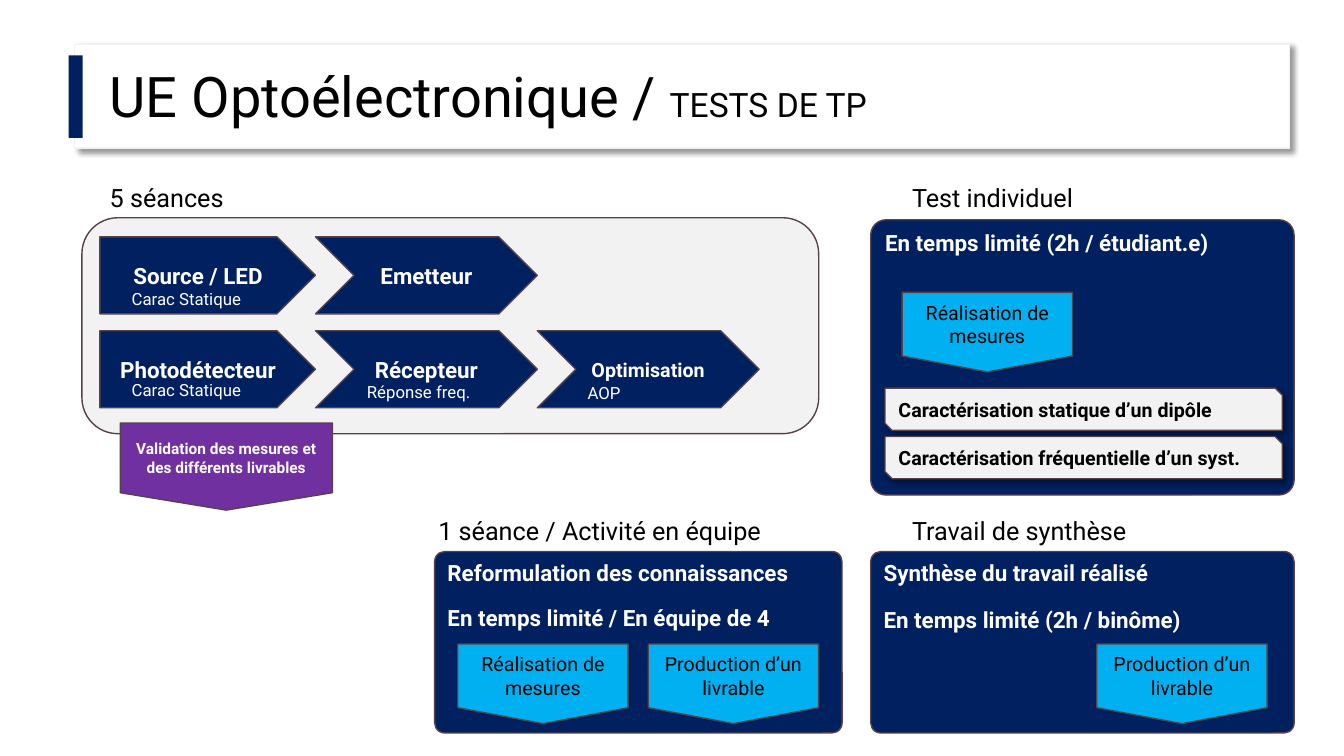
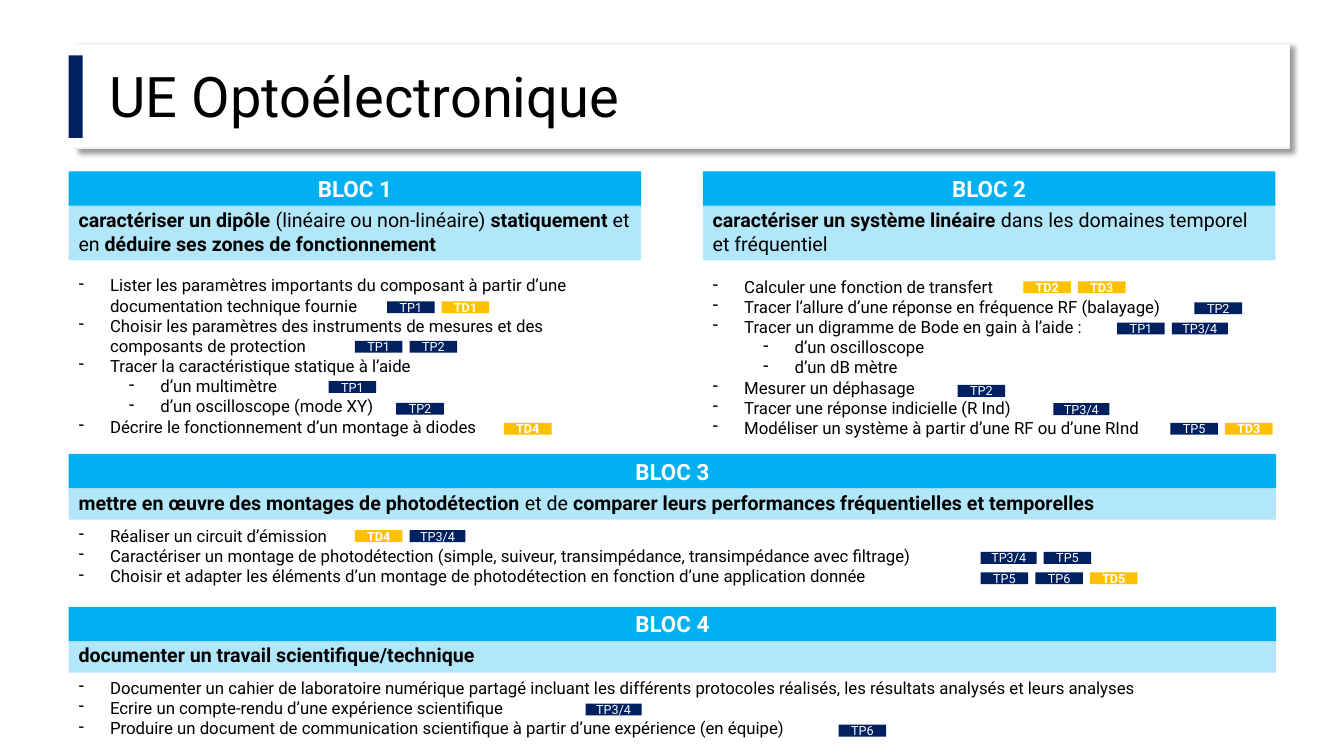
from dataclasses import dataclass

from lxml.etree import SubElement
from pptx import Presentation
from pptx.dml.color import RGBColor
from pptx.enum.shapes import MSO_SHAPE
from pptx.enum.text import MSO_ANCHOR, MSO_AUTO_SIZE, PP_ALIGN
from pptx.oxml.ns import qn
from pptx.util import Pt


@dataclass(frozen=True)
class Theme:
    """Colours, font and type sizes shared by the slides."""
    font: str = "Roboto"
    black: str = "000000"
    white: str = "FFFFFF"
    pale: str = "F2F2F2"
    navy: str = "002060"
    sky: str = "00B0F0"
    purple: str = "7030A0"
    gold: str = "FFC000"
    outline: str = "574249"
    title: int = 40
    subtitle: int = 24
    label: int = 18
    heading: int = 16
    text: int = 14
    small: int = 12
    note: int = 11
    chip: int = 9


T = Theme()
INDENT = 22.5
SUB_INDENT = 58.5
CHIP_GAP = 5
MARGIN = 49


def write(tf, text, size=T.text, color=T.black, bold=False, align=PP_ALIGN.LEFT,
          anchor=MSO_ANCHOR.TOP, wrap=True, inset=None, gap=0, spacing=None, bullets=False):
    """Fill a text frame; * toggles bold and a leading > marks a sub-item."""
    tf.word_wrap = wrap
    tf.auto_size = MSO_AUTO_SIZE.NONE if wrap else MSO_AUTO_SIZE.SHAPE_TO_FIT_TEXT
    tf.vertical_anchor = anchor
    if inset is not None:
        tf.margin_left = tf.margin_right = tf.margin_top = tf.margin_bottom = Pt(inset)
    for i, line in enumerate(text.split("\n")):
        p = tf.add_paragraph() if i else tf.paragraphs[0]
        p.alignment = align
        if i and gap:
            p.space_before = Pt(gap)
        if spacing:
            p.line_spacing = spacing
        if bullets:
            p.level = int(line.startswith(">"))
            pPr = p._p.get_or_add_pPr()
            pPr.set("marL", str(Pt(SUB_INDENT if p.level else INDENT)))
            pPr.set("indent", str(-Pt(INDENT)))
            SubElement(pPr, qn("a:buChar")).set("char", "-")
        for j, part in enumerate(line.lstrip(">").split("*")):
            if part:
                add_run(p, part, size, color, bold != bool(j % 2))


def add_run(p, text, size, color, bold=False):
    """Append one formatted run to a paragraph."""
    r = p.add_run()
    r.text = text
    r.font.name = T.font
    r.font.size = Pt(size)
    r.font.bold = bold
    r.font.color.rgb = RGBColor.from_string(color)


class Deck:
    """Holds the presentation and the slide being drawn."""

    def __init__(self):
        """Open an empty widescreen presentation."""
        self.prs = Presentation()
        self.prs.slide_width, self.prs.slide_height = Pt(960), Pt(540)
        self.s = None

    def slide(self, title, subtitle=""):
        """Start a slide with its title banner."""
        self.s = self.prs.slides.add_slide(self.prs.slide_layouts[6])
        self.shape(MSO_SHAPE.RECTANGLE, 53.3, 31.7, 867.6, 74.2, T.white, T.pale, shadow=True)
        tf = self.text(title, 71.3, 46, 706, 55.4, size=T.title, spacing=0.9)
        if subtitle:
            add_run(tf.paragraphs[0], subtitle, T.subtitle, T.black)
        self.shape(MSO_SHAPE.RECTANGLE, MARGIN, 39.6, 10, 59, T.navy)

    def shape(self, kind, x, y, w, h, fill, line=None, text="", shadow=False,
              alpha=None, adj=None, **fmt):
        """Draw a preset shape with optional text."""
        sp = self.s.shapes.add_shape(kind, Pt(x), Pt(y), Pt(w), Pt(h))
        sp.shadow.inherit = False
        if adj is not None:
            sp.adjustments[0] = adj
        sp.fill.solid()
        sp.fill.fore_color.rgb = RGBColor.from_string(fill)
        spPr = sp._element.spPr
        if alpha:
            clr = spPr.find(qn("a:solidFill")).find(qn("a:srgbClr"))
            SubElement(clr, qn("a:alpha")).set("val", str(alpha * 1000))
        if line:
            sp.line.color.rgb = RGBColor.from_string(line)
            sp.line.width = Pt(1)
        else:
            sp.line.fill.background()
        if shadow:
            sh = SubElement(spPr.find(qn("a:effectLst")), qn("a:outerShdw"), blurRad=str(Pt(4)),
                            dist=str(Pt(3)), dir="2700000", algn="tl", rotWithShape="0")
            clr = SubElement(sh, qn("a:srgbClr"), val=T.black)
            SubElement(clr, qn("a:alpha"), val="40000")
        if text:
            write(sp.text_frame, text, **fmt)

    def text(self, text, x, y, w, h, **fmt):
        """Add a text box and return its frame."""
        tf = self.s.shapes.add_textbox(Pt(x), Pt(y), Pt(w), Pt(h)).text_frame
        write(tf, text, **fmt)
        return tf

    def label(self, text, x, y, w):
        """Name a group of shapes."""
        self.text(text, x, y, w, 29, size=T.label, wrap=False)

    def step(self, kind, text, x, y, w, size=T.heading):
        """Draw one arrow of the session sequence."""
        self.shape(kind, x, y, w, 55, T.navy, T.outline, text, size=size, color=T.white,
                   bold=True, align=PP_ALIGN.CENTER, anchor=MSO_ANCHOR.MIDDLE)

    def panel(self, text, x, y, w, h, gap=0):
        """Draw a navy panel with bold lines."""
        self.shape(MSO_SHAPE.ROUNDED_RECTANGLE, x, y, w, h, T.navy, T.outline, text, adj=0.055,
                   size=T.heading, color=T.white, bold=True, gap=gap)

    def tag(self, text, x, y, w=121.7, h=56.9, fill=T.sky, **fmt):
        """Draw a downward-pointing tag."""
        self.shape(MSO_SHAPE.FLOWCHART_OFFPAGE_CONNECTOR, x, y, w, h, fill, T.outline, text,
                   align=PP_ALIGN.CENTER, anchor=MSO_ANCHOR.MIDDLE, **fmt)

    def block(self, name, summary, items, x, y, w, summary_h, items_y):
        """Draw a skills block: header, summary band and list."""
        self.text(items, x, items_y, w, 51 if summary_h < 30 else 124, size=T.small, bullets=True)
        self.shape(MSO_SHAPE.RECTANGLE, x, y + 22.5, w, summary_h, T.sky, text=summary, alpha=30)
        self.shape(MSO_SHAPE.RECTANGLE, x, y, w, 24.5, T.sky, text=name, size=T.heading,
                   color=T.white, bold=True, align=PP_ALIGN.CENTER, anchor=MSO_ANCHOR.MIDDLE)

    def chips(self, x, y, names):
        """Lay out a row of session chips from left to right."""
        for name in names.split():
            w = 40 if "/" in name else 34
            td = name.startswith("TD")
            self.shape(MSO_SHAPE.RECTANGLE, x, y, w, 8.5, T.gold if td else T.navy, text=name,
                       size=T.chip, color=T.white, bold=td, inset=0,
                       align=PP_ALIGN.CENTER, anchor=MSO_ANCHOR.MIDDLE)
            x += w + CHIP_GAP


def tests_slide(d):
    """Build the slide on lab tests."""
    d.slide("UE Optoélectronique / ", "TESTS DE TP")
    d.shape(MSO_SHAPE.ROUNDED_RECTANGLE, 58.5, 155.5, 526.3, 154.3, T.pale, T.outline)
    for y, first, others in ((169.2, "Source / LED", ["Emetteur"]),
                             (236.3, "Photodétecteur", ["Récepteur", "Optimisation"])):
        d.step(MSO_SHAPE.PENTAGON, first, 71.3, y, 154)
        for i, name in enumerate(others):
            d.step(MSO_SHAPE.CHEVRON, name, 225.4 + i * 158.4, y, 158.4, T.text if i else T.heading)
    for text, x, y, w in (("Carac Statique", 87, 203, 94.3), ("Carac Statique", 87, 268, 94.3),
                          ("Réponse freq.", 255, 268.8, 92), ("AOP", 412.6, 270, 40.3)):
        d.text(text, x, y, w, 21.8, size=T.small, color=T.white, wrap=False)
    d.tag("Validation des mesures et des différents livrables", 85.9, 302.2, 151.5, 62.2,
          T.purple, size=T.note, color=T.white, bold=True)

    d.panel("En temps limité (2h / étudiant.e)", 622, 157, 302.4, 196.6)
    d.panel("Reformulation des connaissances\nEn temps limité / En équipe de 4",
            310.5, 394, 291, 129.6, gap=13)
    d.panel("Synthèse du travail réalisé\nEn temps limité (2h / binôme)",
            622, 394, 302.4, 129.6, gap=14)

    for text, x, y, w in (("5 séances", 71.3, 126.7, 95.8), ("Test individuel", 644.4, 126.7, 134),
                          ("1 séance / Activité en équipe", 306, 364.5, 253.4),
                          ("Travail de synthèse", 644.4, 364.5, 170.6)):
        d.label(text, x, y, w)

    measure, deliver = "Réalisation de mesures", "Production d’un livrable"
    for text, x, y in ((measure, 644.4, 208.8), (measure, 327, 460),
                       (deliver, 463, 460), (deliver, 783.4, 460)):
        d.tag(text, x, y)
    for y, text in ((277.2, "Caractérisation statique d’un dipôle"),
                    (311.8, "Caractérisation fréquentielle d’un syst.")):
        d.shape(MSO_SHAPE.SNIP_2_DIAG_RECTANGLE, 632.2, y, 283.7, 30.2, T.pale, T.outline, text,
                shadow=True, bold=True, anchor=MSO_ANCHOR.MIDDLE)


def skills_slide(d):
    """Build the slide on skills blocks."""
    d.slide("UE Optoélectronique")
    half, full, right = 409, 862.5, 502
    d.block("BLOC 1", "*caractériser un dipôle *(linéaire ou non-linéaire) *statiquement* et en "
            "*déduire ses zones de fonctionnement*",
            "Lister les paramètres importants du composant à partir d’une documentation technique "
            "fournie\n"
            "Choisir les paramètres des instruments de mesures et des composants de protection\n"
            "Tracer la caractéristique statique à l’aide\n"
            ">d’un multimètre\n"
            ">d’un oscilloscope (mode XY)\n"
            "Décrire le fonctionnement d’un montage à diodes",
            MARGIN, 122.5, half, 41, 193)
    d.block("BLOC 2", "*caractériser un système linéaire *dans les domaines temporel et fréquentiel",
            "Calculer une fonction de transfert\n"
            "Tracer l’allure d’une réponse en fréquence RF (balayage)\n"
            "Tracer un digramme de Bode en gain à l’aide :\n"
            ">d’un oscilloscope\n"
            ">d’un dB mètre\n"
            "Mesurer un déphasage\n"
            "Tracer une réponse indicielle (R Ind)\n"
            "Modéliser un système à partir d’une RF ou d’une RInd",
            right, 122.5, half, 41, 194)
    d.block("BLOC 3", "*mettre en œuvre des montages de photodétection *et de "
            "*comparer leurs performances fréquentielles et temporelles*",
            "Réaliser un circuit d’émission\n"
            "Caractériser un montage de photodétection (simple, suiveur, transimpédance, "
            "transimpédance avec filtrage)\n"
            "Choisir et adapter les éléments d’un montage de photodétection en fonction d’une "
            "application donnée",
            MARGIN, 324.3, full, 24.5, 372)
    d.block("BLOC 4", "*documenter un travail scientifique/technique*",
            "Documenter un cahier de laboratoire numérique partagé incluant les différents "
            "protocoles réalisés, les résultats analysés et leurs analyses\n"
            "Ecrire un compte-rendu d’une expérience scientifique\n"
            "Produire un document de communication scientifique à partir d’une expérience "
            "(en équipe)",
            MARGIN, 433.5, full, 24.5, 480.5)

    for x, y, names in ((276.5, 215.3, "TP1 TD1"), (253.5, 243.5, "TP1 TP2"), (234.7, 272.2, "TP1"),
                        (283, 287.8, "TP2"), (360, 302, "TD4"), (731, 201, "TD2 TD3"),
                        (853.2, 216, "TP2"), (798, 230.4, "TP1 TP3/4"), (684, 275, "TP2"),
                        (752.4, 288, "TP3/4"), (836, 302, "TP5 TD3"), (253.5, 378.7, "TD4 TP3/4"),
                        (700.5, 394.3, "TP3/4 TP5"), (700.5, 408.8, "TP5 TP6 TD5"),
                        (418.3, 502.6, "TP3/4"), (599, 517.7, "TP6")):
        d.chips(x, y, names)


def main():
    """Build and save the presentation."""
    d = Deck()
    tests_slide(d)
    skills_slide(d)
    d.prs.save("out.pptx")


if __name__ == "__main__":
    main()
